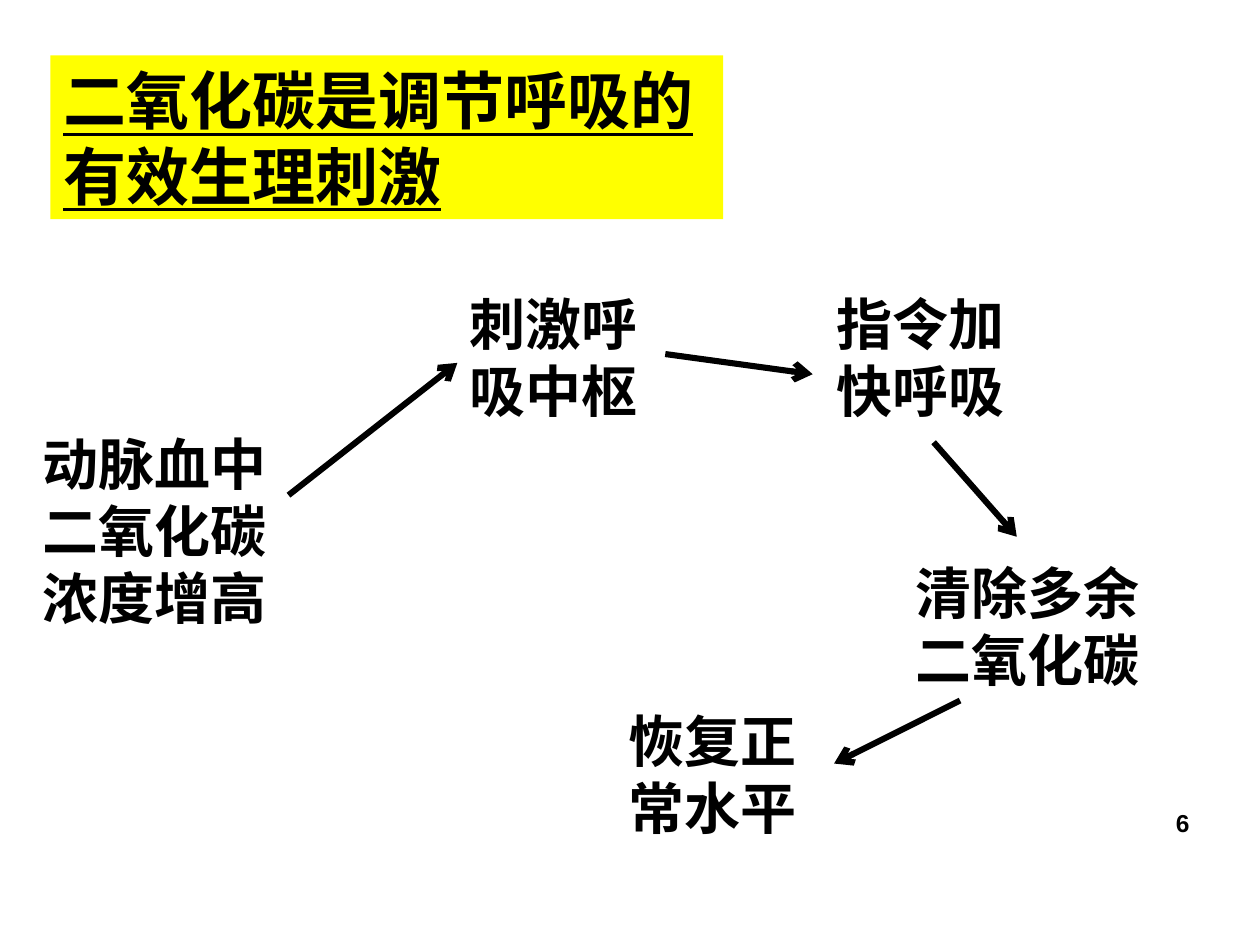
from dataclasses import dataclass

from lxml.etree import SubElement
from pptx import Presentation
from pptx.dml.color import RGBColor
from pptx.enum.shapes import MSO_CONNECTOR
from pptx.enum.text import MSO_ANCHOR, MSO_AUTO_SIZE, PP_ALIGN
from pptx.oxml.ns import qn
from pptx.util import Inches, Pt


@dataclass(frozen=True)
class Theme:
    """Colours, fonts and sizes of the slide."""
    ink: RGBColor = RGBColor(0, 0, 0)
    highlight: RGBColor = RGBColor(255, 255, 0)
    body_font: str = "Times New Roman"
    number_font: str = "Arial"
    title_size: int = 36
    step_size: int = 32
    number_size: int = 14
    arrow_width: float = 3.5


THEME = Theme()

STEPS = [
    ("动脉血中二氧化碳浓度增高", (0.24, 3.36, 2.2, 1.7)),
    ("刺激呼吸中枢", (3.63, 2.25, 1.81, 1.17)),
    ("指令加快呼吸", (6.54, 2.25, 1.73, 1.17)),
    ("清除多余二氧化碳", (7.17, 4.38, 2.21, 1.17)),
    ("恢复正常水平", (4.89, 5.56, 1.73, 1.17)),
]

ARROWS = [
    ((2.29, 3.93), (3.63, 2.88)),
    ((5.28, 2.81), (6.45, 2.97)),
    ((7.41, 3.51), (8.07, 4.26)),
    ((7.62, 5.56), (6.62, 6.06)),
]


def write_text(frame, text, size, font=THEME.body_font, align=PP_ALIGN.LEFT, underline=False):
    """Fill a text frame with one bold, top-anchored paragraph."""
    frame.word_wrap = True
    frame.auto_size = MSO_AUTO_SIZE.NONE
    frame.vertical_anchor = MSO_ANCHOR.TOP
    paragraph = frame.paragraphs[0]
    paragraph.alignment = align
    run = paragraph.add_run()
    run.text = text
    run.font.name = font
    run.font.size = Pt(size)
    run.font.bold = True
    run.font.underline = underline
    run.font.color.rgb = THEME.ink


def add_title(slide, text, box):
    """Place the highlighted, underlined title."""
    title = slide.shapes.title
    title.left, title.top, title.width, title.height = map(Inches, box)
    title.fill.solid()
    title.fill.fore_color.rgb = THEME.highlight
    write_text(title.text_frame, text, THEME.title_size, underline=True)


def add_label(slide, text, box, size, **text_format):
    """Add a text box at the given left, top, width and height."""
    label = slide.shapes.add_textbox(*map(Inches, box))
    write_text(label.text_frame, text, size, **text_format)


def add_arrow(slide, start, end):
    """Draw a straight arrow between two points."""
    arrow = slide.shapes.add_connector(MSO_CONNECTOR.STRAIGHT, *map(Inches, start + end))
    arrow.line.color.rgb = THEME.ink
    arrow.line.width = Pt(THEME.arrow_width)
    SubElement(arrow.line._get_or_add_ln(), qn("a:tailEnd"), type="arrow")
    SubElement(arrow._element.spPr, qn("a:effectLst"))


def main():
    """Build and save the slide on breathing regulation."""
    presentation = Presentation()
    presentation.slide_width = Inches(10)
    presentation.slide_height = Inches(7.5)
    slide = presentation.slides.add_slide(presentation.slide_layouts[5])
    add_title(slide, "二氧化碳是调节呼吸的有效生理刺激", (0.4, 0.44, 5.34, 1.3))
    for step, box in STEPS:
        add_label(slide, step, box, THEME.step_size)
    for start, end in ARROWS:
        add_arrow(slide, start, end)
    add_label(slide, "6", (7.21, 6.36, 2.33, 0.52), THEME.number_size,
              font=THEME.number_font, align=PP_ALIGN.RIGHT)
    presentation.save("out.pptx")


if __name__ == "__main__":
    main()
